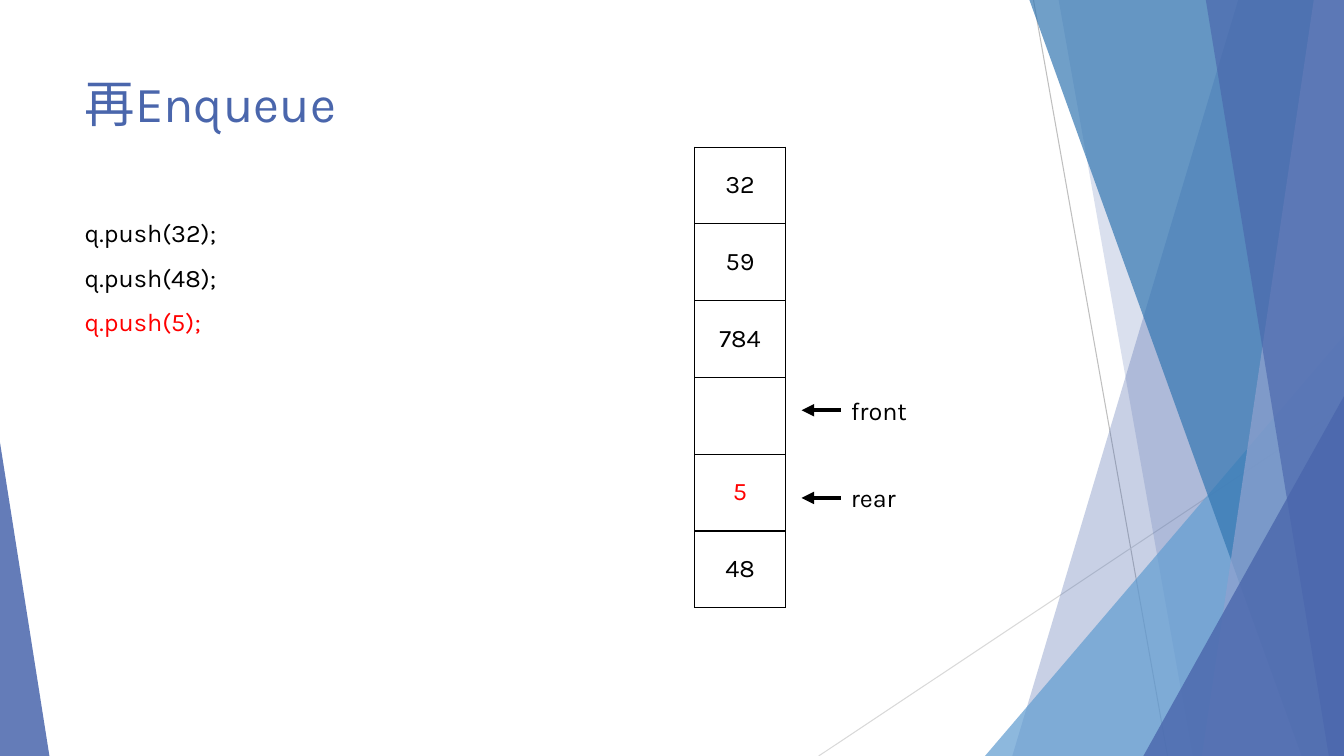
from lxml import etree
from pptx import Presentation
from pptx.dml.color import RGBColor
from pptx.enum.shapes import MSO_CONNECTOR, MSO_SHAPE
from pptx.enum.text import MSO_ANCHOR, MSO_AUTO_SIZE, PP_ALIGN
from pptx.oxml import parse_xml
from pptx.oxml.ns import nsdecls, qn
from pptx.util import Inches, Pt

WIDTH, HEIGHT = 13.33, 7.5
BLACK = RGBColor(0x00, 0x00, 0x00)
RED = RGBColor(0xFF, 0x00, 0x00)
INDIGO = RGBColor(0x4A, 0x66, 0xAC)
SKY = RGBColor(0x62, 0x9D, 0xD1)
OCEAN = RGBColor(0x34, 0x77, 0xB2)
PERIWINKLE = RGBColor(0x90, 0xA2, 0xCF)
SILVER = RGBColor(0xBF, 0xBF, 0xBF)
PALE_GREY = RGBColor(0xD9, 0xD9, 0xD9)


def write(para, text, color=BLACK, size=18):
    """Add one formatted span to a paragraph."""
    span = para.add_run()
    span.text = text
    span.font.color.rgb = color
    formats = {"name": "Karla", "size": Pt(size), "bold": False}
    for name, value in formats.items():
        setattr(span.font, name, value)


def paint(shape, color, opacity):
    """Give a shape a translucent fill, without outline or shadow."""
    shape.shadow.inherit = False
    shape.line.fill.background()
    shape.fill.solid()
    shape.fill.fore_color.rgb = color
    tint = shape.fill._xPr.find(qn("a:solidFill"))[0]
    etree.SubElement(tint, qn("a:alpha"), val=str(opacity * 1000))


def add_line(page, start, end, color, weight):
    line = page.shapes.add_connector(
        MSO_CONNECTOR.STRAIGHT, *(Inches(value) for value in start + end))
    line.line.color.rgb = color
    line.line.width = Pt(weight)
    etree.SubElement(line.element.spPr, qn("a:effectLst"))
    return line


def add_band(page, top_x, bottom_x, color, opacity):
    """Fill from a slanted left edge to the right side of the page."""
    builder = page.shapes.build_freeform(Inches(top_x), 0)
    corners = [(WIDTH, 0), (WIDTH, HEIGHT), (bottom_x, HEIGHT)]
    builder.add_line_segments([(Inches(x), Inches(y)) for x, y in corners])
    paint(builder.convert_to_shape(), color, opacity)


def add_corner(page, left, top, width, apex, color, opacity):
    """Place a right triangle that stands on the bottom of the page."""
    corner = page.shapes.add_shape(
        MSO_SHAPE.ISOSCELES_TRIANGLE, Inches(left), Inches(top),
        Inches(width), Inches(HEIGHT - top))
    corner.adjustments[0] = apex
    paint(corner, color, opacity)


def add_backdrop(page):
    add_line(page, (10.25, 0), (11.58, HEIGHT), SILVER, 0.75)
    add_line(page, (WIDTH, 4.03), (8.12, HEIGHT), PALE_GREY, 0.75)
    add_band(page, 12.28, 10.04, INDIGO, 30)
    add_band(page, 10.5, 11.83, INDIGO, 20)
    add_corner(page, 9.77, 3.33, 3.56, 1, SKY, 72)
    add_band(page, 10.21, 12.91, OCEAN, 70)
    add_band(page, 13.03, 11.92, PERIWINKLE, 70)
    add_band(page, 11.96, 13.18, INDIGO, 65)
    add_corner(page, 11.34, 3.93, 1.99, 1, INDIGO, 80)
    add_corner(page, 0, 4.39, 0.49, 0, INDIGO, 85)


def place(holder, left, top, width, height):
    """Move a placeholder to its box, in front of the backdrop."""
    box = {"left": left, "top": top, "width": width, "height": height}
    for name, value in box.items():
        setattr(holder, name, Inches(value))
    holder.element.getparent().append(holder.element)
    frame = holder.text_frame
    formats = {"word_wrap": True, "auto_size": MSO_AUTO_SIZE.NONE,
               "vertical_anchor": MSO_ANCHOR.TOP}
    for name, value in formats.items():
        setattr(frame, name, value)
    return frame


def add_title(page, text, *box):
    para = place(page.shapes.title, *box).paragraphs[0]
    para.alignment = PP_ALIGN.LEFT
    write(para, text, INDIGO, 36)


def add_calls(page, calls, *box):
    frame = place(page.placeholders[1], *box)
    for index, (text, color) in enumerate(calls):
        para = frame.add_paragraph() if index else frame.paragraphs[0]
        properties = para._p.get_or_add_pPr()
        properties.set("marL", "0")
        properties.set("indent", "0")
        etree.SubElement(properties, qn("a:buNone"))
        para.space_before = Pt(10 if index else 0)
        write(para, text, color)


def add_queue(page, values, left, top, width, height):
    table = page.shapes.add_table(
        len(values), 1, Inches(left), Inches(top),
        Inches(width), Inches(height)).table
    table.first_row = table.horz_banding = False
    for row, (text, color) in enumerate(values):
        cell = table.cell(row, 0)
        cell.vertical_anchor = MSO_ANCHOR.MIDDLE
        properties = cell._tc.get_or_add_tcPr()
        for side in ("lnL", "lnR", "lnT", "lnB"):
            properties.append(parse_xml(
                f'<a:{side} {nsdecls("a")} w="12700"><a:solidFill>'
                f'<a:srgbClr val="{BLACK}"/></a:solidFill></a:{side}>'))
        cell.fill.background()
        para = cell.text_frame.paragraphs[0]
        para.alignment = PP_ALIGN.CENTER
        if text:
            write(para, text, color)


def add_pointer(page, text, left, top, width=1.24, height=0.4):
    """Label with an arrow that leads left from it to the queue."""
    label = page.shapes.add_textbox(
        Inches(left), Inches(top), Inches(width), Inches(height))
    label.text_frame.word_wrap = True
    label.text_frame.auto_size = MSO_AUTO_SIZE.SHAPE_TO_FIT_TEXT
    write(label.text_frame.paragraphs[0], text)
    middle = top + height / 2
    arrow = add_line(page, (left, middle), (left - 0.39, middle), BLACK, 3)
    arrow.begin_connect(label, 1)
    etree.SubElement(arrow.line._get_or_add_ln(), qn("a:tailEnd"),
                     type="triangle")


def main():
    deck = Presentation()
    deck.slide_width, deck.slide_height = Inches(WIDTH), Inches(HEIGHT)
    page = deck.slides.add_slide(deck.slide_layouts[1])
    add_backdrop(page)
    # Title and code
    add_title(page, "再Enqueue", 0.74, 0.67, 9.4, 1.44)
    calls = [("q.push(32);", BLACK), ("q.push(48);", BLACK),
             ("q.push(5);", RED)]
    add_calls(page, calls, 0.74, 2.11, 3.7, 3.04)
    # Queue and its two ends
    values = [("32", BLACK), ("59", BLACK), ("784", BLACK),
              ("", BLACK), ("5", RED), ("48", BLACK)]
    add_queue(page, values, 6.89, 1.46, 0.9, 4.57)
    for text, top in (("rear", 4.74), ("front", 3.87)):
        add_pointer(page, text, 8.34, top)
    deck.save("out.pptx")


if __name__ == "__main__":
    main()
